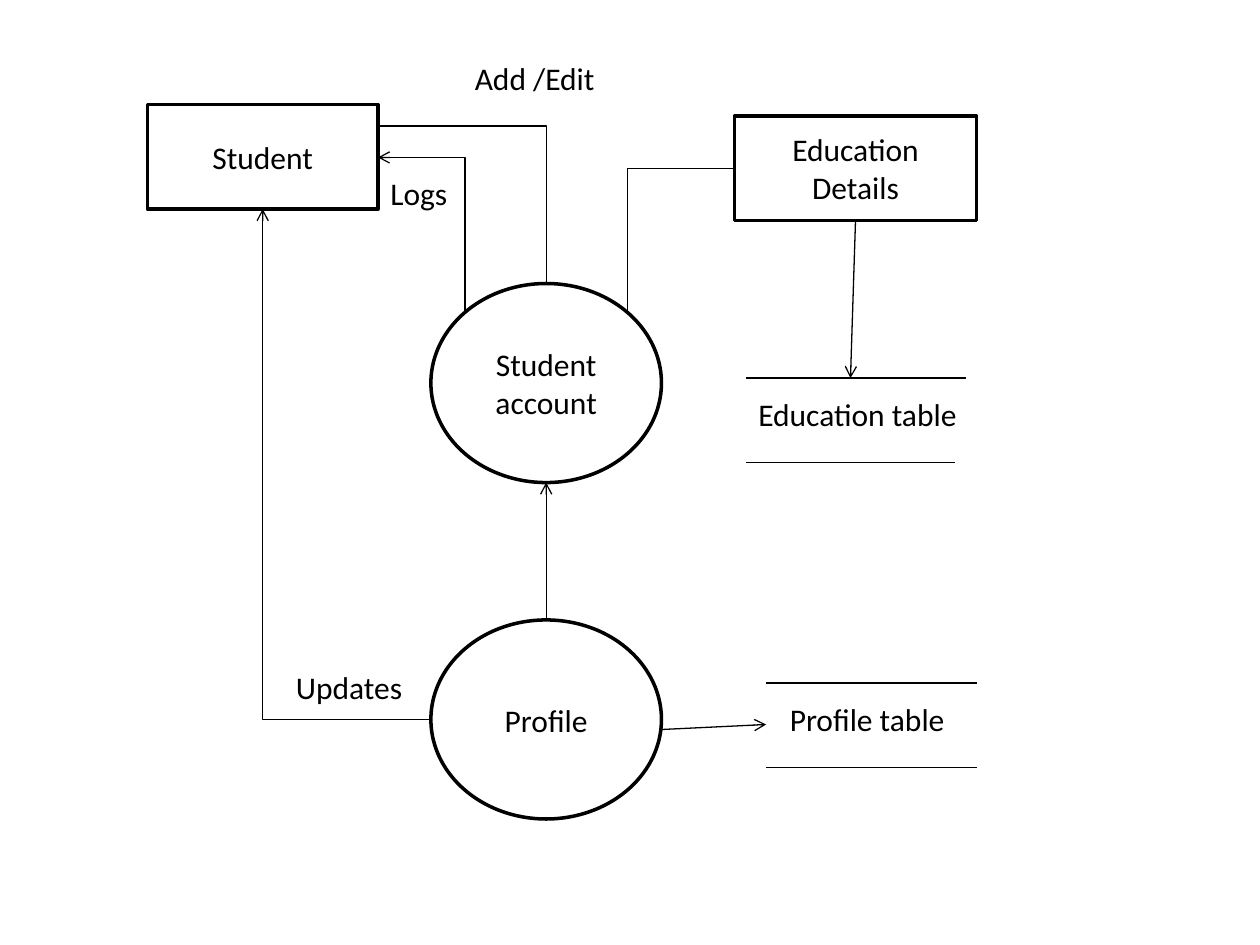
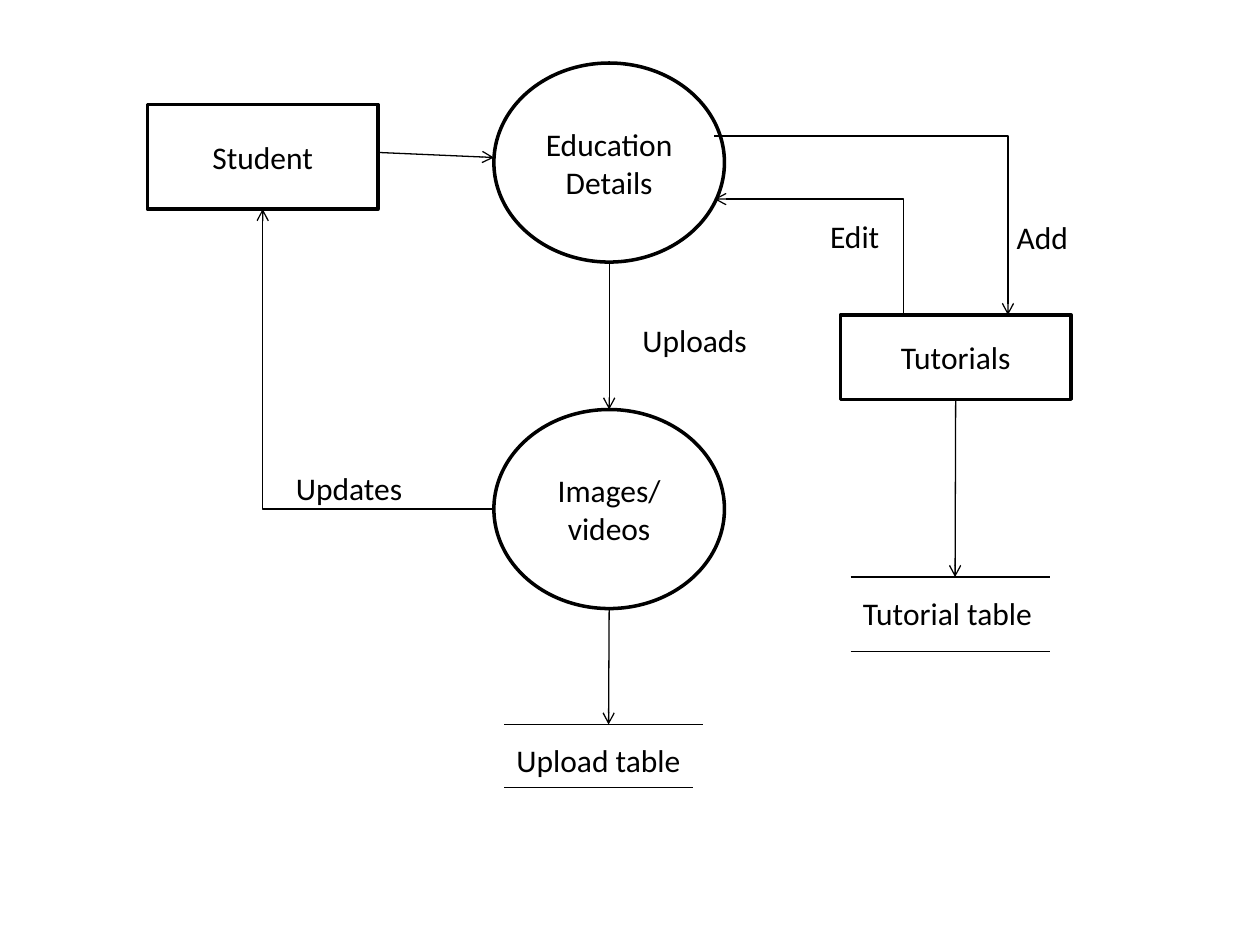
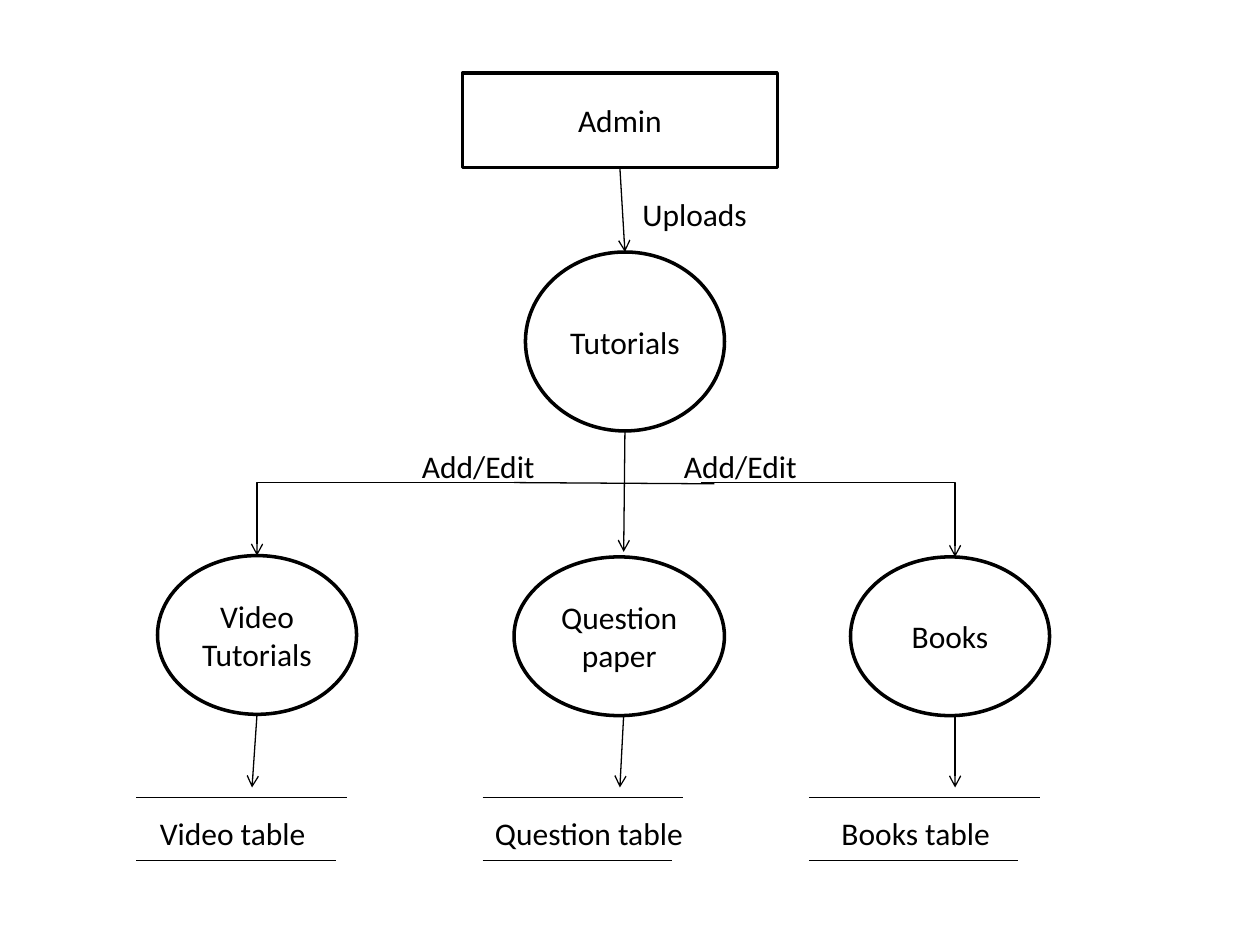
from lxml import etree
from pptx import Presentation
from pptx.dml.color import RGBColor
from pptx.enum.shapes import MSO_CONNECTOR, MSO_SHAPE
from pptx.enum.text import MSO_ANCHOR, MSO_AUTO_SIZE, PP_ALIGN
from pptx.oxml.ns import qn
from pptx.util import Inches, Pt

BLACK = RGBColor(0, 0, 0)
WHITE = RGBColor(255, 255, 255)
FONT = "Calibri"
FONT_SIZE = Pt(18)
LABEL_HEIGHT = 0.4
LABEL_OFFSET = 0.085
ENTITY = MSO_SHAPE.RECTANGLE
PROCESS = MSO_SHAPE.OVAL
STRAIGHT = MSO_CONNECTOR.STRAIGHT
ELBOW = MSO_CONNECTOR.ELBOW
CENTER = PP_ALIGN.CENTER
LEFT = PP_ALIGN.LEFT
MIDDLE = MSO_ANCHOR.MIDDLE
FIT_TEXT = MSO_AUTO_SIZE.SHAPE_TO_FIT_TEXT
SIDES = {"left": (0, 0.5), "right": (1, 0.5), "top": (0.5, 0), "bottom": (0.5, 1)}

# nodes: key -> (kind, text, left, top, width, height)
# flows: (kind, start, end, arrow end); elbows leave their start horizontally
# labels: (text, left, top, width)
# stores: (text, text left, text width, left, top, top length, bottom length, gap)
DIAGRAMS = [
    {
        "nodes": {
            "student": (ENTITY, "Student", 1.17, 0.83, 1.83, 0.83),
            "education": (ENTITY, "Education Details", 5.83, 0.92, 1.92, 0.83),
            "account": (PROCESS, "Student account", 3.42, 2.25, 1.83, 1.58),
            "profile": (PROCESS, "Profile", 3.42, 4.92, 1.83, 1.58),
        },
        "flows": [
            (ELBOW, ("profile", "left"), ("student", "bottom"), "tail"),
            (STRAIGHT, ("profile", "top"), ("account", "bottom"), "tail"),
            (ELBOW, (3, 1.25), (3.69, 2.48), "head"),
            (ELBOW, (3, 1), ("account", "top"), None),
            (ELBOW, ("education", "left"), (4.98, 2.48), None),
            (STRAIGHT, ("education", "bottom"), (6.75, 3), "tail"),
            (STRAIGHT, (5.25, 5.79), (6.08, 5.75), "tail"),
        ],
        "labels": [
            ("Logs", 3, 1.33, 0.66),
            ("Updates", 2.25, 5.25, 1.05),
            ("Add /Edit", 3.67, 0.42, 1.16),
        ],
        "stores": [
            ("Education table", 5.92, 1.8, 5.92, 3, 1.75, 1.66, 0.67),
            ("Profile table", 6.17, 1.44, 6.08, 5.42, 1.67, 1.67, 0.67),
        ],
    },
    {
        "nodes": {
            "student": (ENTITY, "Student", 1.17, 0.83, 1.83, 0.83),
            "tutorials": (ENTITY, "Tutorials", 6.67, 2.5, 1.83, 0.67),
            "education": (PROCESS, "Education Details", 3.92, 0.5, 1.83, 1.58),
            "media": (PROCESS, "Images/\nvideos", 3.92, 3.25, 1.83, 1.58),
        },
        "flows": [
            (ELBOW, ("media", "left"), ("student", "bottom"), "tail"),
            (STRAIGHT, (3, 1.21), (3.92, 1.25), "tail"),
            (ELBOW, (5.67, 1.08), (8, 2.5), "tail"),
            (ELBOW, (5.67, 1.58), (7.17, 2.5), "head"),
            (STRAIGHT, ("education", "bottom"), ("media", "top"), "tail"),
            (STRAIGHT, ("tutorials", "bottom"), (7.58, 4.58), "tail"),
            (STRAIGHT, ("media", "bottom"), (4.83, 5.75), "tail"),
        ],
        "labels": [
            ("Updates", 2.25, 3.67, 1.05),
            ("Edit", 6.49, 1.67, 0.6),
            ("Add", 7.97, 1.68, 0.61),
            ("Uploads", 5, 2.5, 1.04),
        ],
        "stores": [
            ("Tutorial table", 6.75, 1.56, 6.75, 4.58, 1.58, 1.58, 0.59),
            ("Upload table", 4, 1.52, 4, 5.75, 1.58, 1.5, 0.5),
        ],
    },
    {
        "nodes": {
            "admin": (ENTITY, "Admin", 3.67, 0.58, 2.5, 0.75),
            "tutorials": (PROCESS, "Tutorials", 4.17, 2, 1.58, 1.42),
            "video": (PROCESS, "Video Tutorials", 1.25, 4.41, 1.58, 1.26),
            "question": (PROCESS, "Question paper", 4.08, 4.42, 1.67, 1.26),
            "books": (PROCESS, "Books", 6.75, 4.42, 1.58, 1.26),
        },
        "flows": [
            (STRAIGHT, ("admin", "bottom"), ("tutorials", "top"), "tail"),
            (STRAIGHT, ("tutorials", "bottom"), (4.95, 4.38), "tail"),
            (ELBOW, (4.12, 3.83), ("video", "top"), "tail"),
            (ELBOW, (5.56, 3.83), (7.58, 4.42), "tail"),
            (STRAIGHT, (4.08, 3.83), (5.67, 3.84), None),
            (STRAIGHT, ("video", "bottom"), (2, 6.25), "tail"),
            (STRAIGHT, (4.95, 5.67), (4.92, 6.25), "tail"),
            (STRAIGHT, (7.58, 5.67), (7.58, 6.25), "tail"),
        ],
        "labels": [
            ("Uploads", 5, 1.5, 1.04),
            ("Add/Edit", 3.25, 3.5, 1.11),
            ("Add/Edit", 5.33, 3.5, 1.11),
        ],
        "stores": [
            ("Video table", 1.17, 1.37, 1.08, 6.33, 1.67, 1.59, 0.5),
            ("Question table", 3.83, 1.71, 3.83, 6.33, 1.59, 1.5, 0.5),
            ("Books table", 6.58, 1.39, 6.42, 6.33, 1.83, 1.66, 0.5),
        ],
    },
]


def write_text(frame, text, alignment):
    for index, line in enumerate(text.split("\n")):
        paragraph = frame.add_paragraph() if index else frame.paragraphs[0]
        paragraph.alignment = alignment
        run = paragraph.add_run()
        run.text = line
        run.font.name = FONT
        run.font.size = FONT_SIZE
        run.font.color.rgb = BLACK


def add_node(slide, kind, text, *box):
    shape = slide.shapes.add_shape(kind, *map(Inches, box))
    shape.shadow.inherit = False
    shape.fill.solid()
    shape.fill.fore_color.rgb = WHITE
    shape.line.color.rgb = BLACK
    shape.line.width = Pt(2)
    shape.text_frame.word_wrap = True
    shape.text_frame.vertical_anchor = MIDDLE
    write_text(shape.text_frame, text, CENTER)


def add_flow(slide, kind, start, end, arrow=None):
    connector = slide.shapes.add_connector(kind, *map(Inches, (*start, *end)))
    connector.line.color.rgb = BLACK
    connector.line.width = Pt(0.75)
    properties = connector._element.spPr
    if kind == ELBOW:
        properties.find(qn("a:prstGeom")).set("prst", "bentConnector2")
    if arrow:
        line = properties.find(qn("a:ln"))
        etree.SubElement(line, qn(f"a:{arrow}End"), type="arrow")
    etree.SubElement(properties, qn("a:effectLst"))


def add_label(slide, text, left, top, width):
    box = slide.shapes.add_textbox(*map(Inches, (left, top, width, LABEL_HEIGHT)))
    box.text_frame.word_wrap = False
    box.text_frame.auto_size = FIT_TEXT
    write_text(box.text_frame, text, LEFT)


def add_store(slide, text, text_left, text_width, left, top, top_length, bottom_length, gap):
    for y, length in ((top, top_length), (top + gap, bottom_length)):
        add_flow(slide, STRAIGHT, (left, y), (left + length, y))
    add_label(slide, text, text_left, top + LABEL_OFFSET, text_width)


def locate(point, nodes):
    if point[0] not in nodes:
        return point
    name, side = point
    left, top, width, height = nodes[name][2:]
    across, down = SIDES[side]
    return left + across * width, top + down * height


presentation = Presentation()
presentation.slide_width = Inches(10)
presentation.slide_height = Inches(7.5)
blank_layout = presentation.slide_layouts.get_by_name("Blank")

for diagram in DIAGRAMS:
    slide = presentation.slides.add_slide(blank_layout)
    nodes = diagram["nodes"]
    for node in nodes.values():
        add_node(slide, *node)
    for kind, start, end, arrow in diagram["flows"]:
        add_flow(slide, kind, locate(start, nodes), locate(end, nodes), arrow)
    for label in diagram["labels"]:
        add_label(slide, *label)
    for store in diagram["stores"]:
        add_store(slide, *store)

presentation.save("out.pptx")
